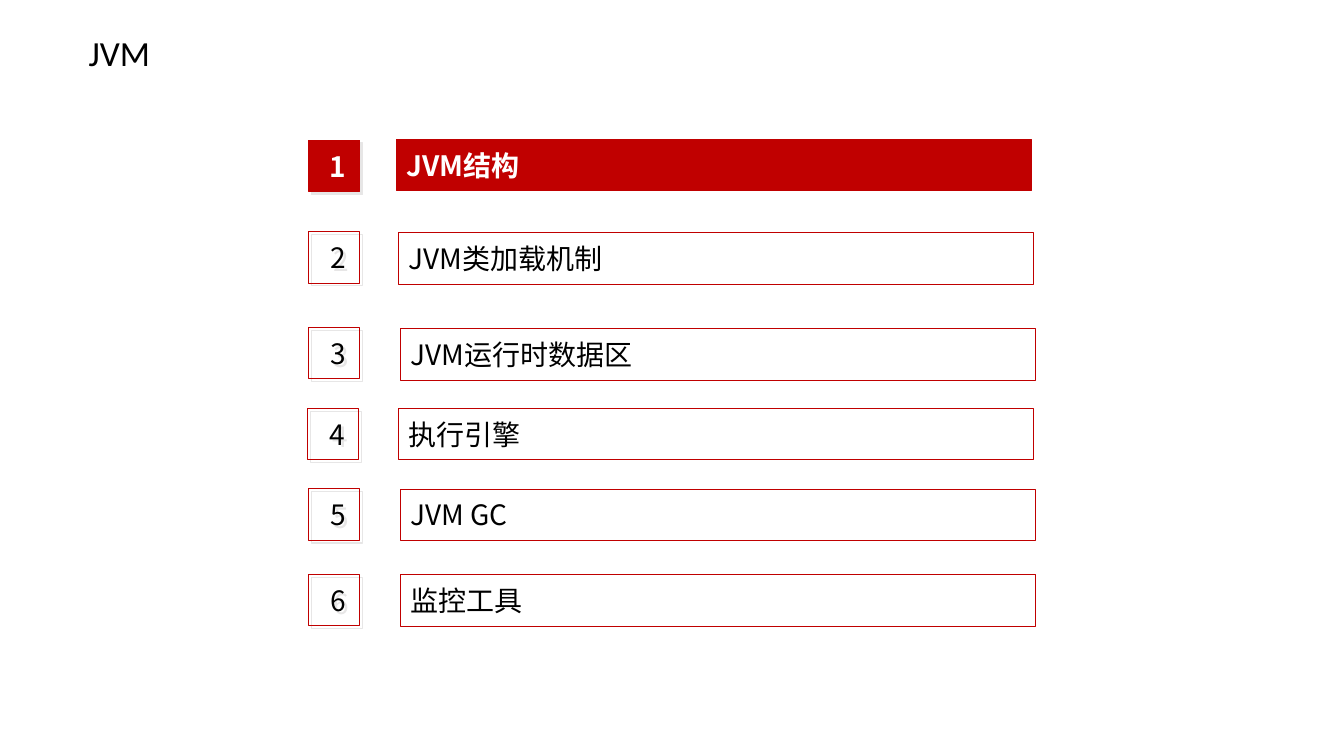
from lxml import etree
from pptx import Presentation
from pptx.dml.color import RGBColor
from pptx.enum.shapes import MSO_SHAPE
from pptx.enum.text import MSO_ANCHOR, PP_ALIGN
from pptx.oxml.ns import qn
from pptx.util import Inches, Pt

RECTANGLE = MSO_SHAPE.RECTANGLE
MIDDLE = MSO_ANCHOR.MIDDLE
LEFT, CENTER = PP_ALIGN.LEFT, PP_ALIGN.CENTER
RED = RGBColor(0xC0, 0x00, 0x00)
WHITE = RGBColor(0xFF, 0xFF, 0xFF)
BLACK = RGBColor(0x00, 0x00, 0x00)
SHADOW_GREY = RGBColor(0xE7, 0xE6, 0xE6)
TITLE_FONT, AGENDA_FONT = "Calibri", "Noto Sans CJK SC"
BOX_HEIGHT, BAR_WIDTH = 0.51, 6.3

AGENDA = [
    ("JVM结构", 3.06, 1.39, 3.93, 1.38),
    ("JVM类加载机制", 3.06, 2.3, 3.95, 2.31),
    ("JVM运行时数据区", 3.06, 3.25, 3.97, 3.26),
    ("执行引擎", 3.05, 4.05, 3.95, 4.05),
    ("JVM GC", 3.06, 4.85, 3.97, 4.85),
    ("监控工具", 3.06, 5.7, 3.97, 5.7),
]


class AgendaPage:
    """Draws the title, number boxes and topic bars of an agenda page."""

    def __init__(self, deck):
        self.page = deck.slides.add_slide(deck.slide_layouts[6])

    def set_text(self, box, text, font_name, size, color, bold=False, align=LEFT):
        frame = box.text_frame
        frame.text = text
        frame.vertical_anchor = MIDDLE
        para = frame.paragraphs[0]
        para.alignment = align
        for span in para.runs:
            font = span.font
            font.size, font.bold, font.name = Pt(size), bold, font_name
            font.color.rgb = color
            east_asian = etree.SubElement(span._r.get_or_add_rPr(), qn("a:ea"))
            east_asian.set("typeface", font_name)
        return para

    def title(self, text):
        box = self.page.shapes.add_textbox(
            Inches(0.78), Inches(0.31), Inches(5.72), Inches(0.47))
        box.text_frame.word_wrap = True
        para = self.set_text(box, text, TITLE_FONT, 25.2, BLACK)
        para.line_spacing = 0.9

    def rectangle(self, left, top, width, fill, line_width):
        box = self.page.shapes.add_shape(
            RECTANGLE, Inches(left), Inches(top), Inches(width), Inches(BOX_HEIGHT))
        box.shadow.inherit = False
        if fill is None:
            box.fill.background()
        else:
            box.fill.solid()
            box.fill.fore_color.rgb = fill
        box.line.color.rgb = RED
        box.line.width = Pt(line_width)
        box.text_frame.word_wrap = False
        return box

    def cast_shadow(self, box):
        effects = box._element.spPr.find(qn("a:effectLst"))
        shadow = etree.SubElement(effects, qn("a:outerShdw"), blurRad="0",
                                  dist=str(Pt(2.8)), dir="2700000",
                                  algn="tl", rotWithShape="0")
        etree.SubElement(shadow, qn("a:srgbClr"), val=str(SHADOW_GREY))

    def number(self, text, left, top, active):
        box = self.rectangle(left, top, BOX_HEIGHT, RED if active else None, 0.75)
        self.cast_shadow(box)
        frame = box.text_frame
        frame.margin_left = Inches(0.13)
        frame.margin_top = frame.margin_right = frame.margin_bottom = Inches(0.05)
        self.set_text(box, text, AGENDA_FONT, 20, WHITE if active else BLACK, active, CENTER)

    def topic(self, text, left, top, active):
        box = self.rectangle(left, top, BAR_WIDTH, RED if active else WHITE, 0.5)
        self.set_text(box, text, AGENDA_FONT, 20, WHITE if active else BLACK, active)


def main():
    deck = Presentation()
    deck.slide_width, deck.slide_height = Inches(13.33), Inches(7.5)
    agenda = AgendaPage(deck)
    agenda.title("JVM")
    for index, (topic, number_left, number_top, bar_left, bar_top) in enumerate(AGENDA, 1):
        active = index == 1
        agenda.number(str(index), number_left, number_top, active)
        agenda.topic(topic, bar_left, bar_top, active)
    deck.save("out.pptx")


if __name__ == "__main__":
    main()
